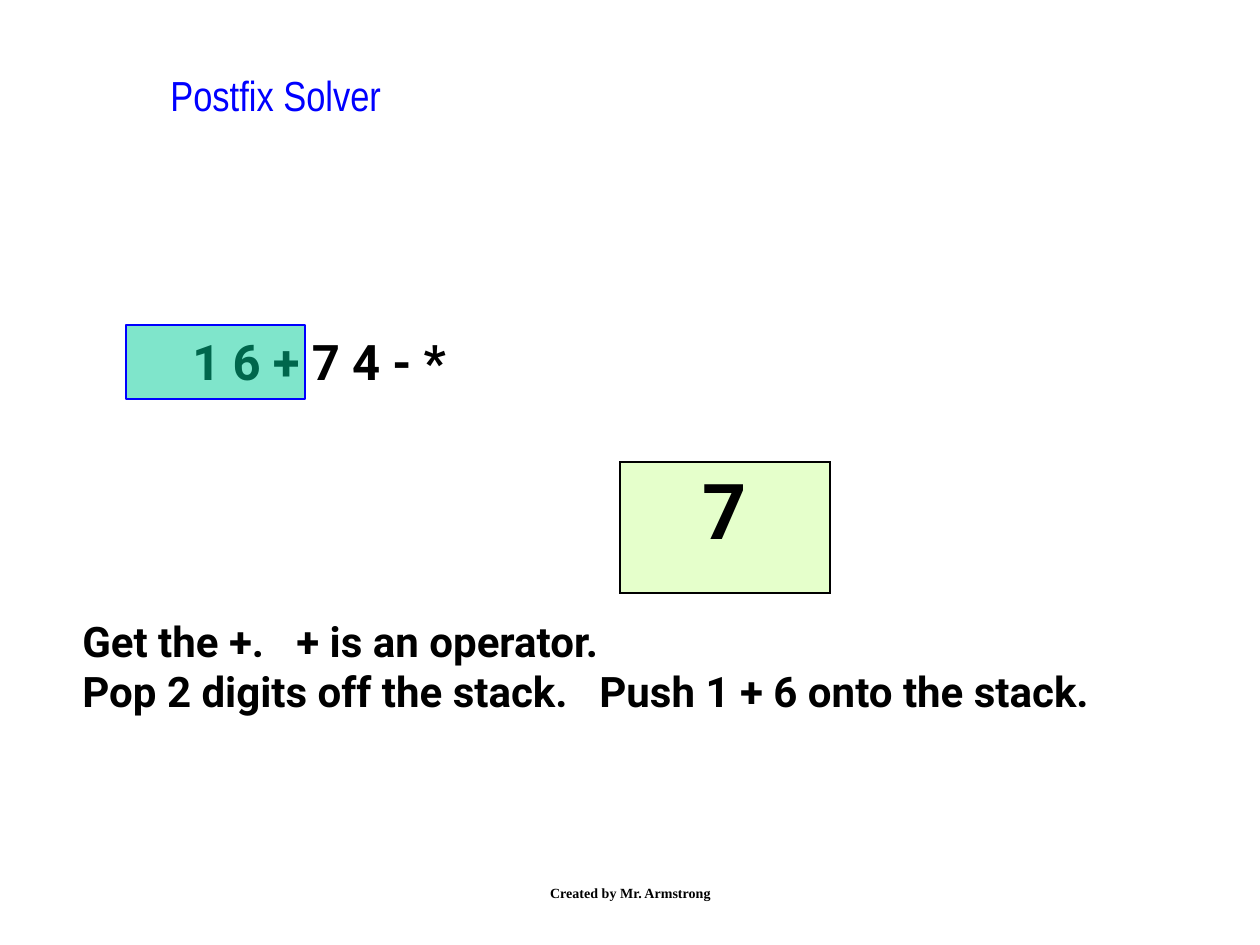
from lxml import etree
from pptx import Presentation, util as u
from pptx.dml.color import RGBColor
from pptx.enum import shapes, text
from pptx.oxml.ns import qn

PX = u.Inches(1) / 126


def emu(*lengths):
    return [round(n * PX) for n in lengths]


def paint(fill, color, alpha=None):
    """Give a fill a solid colour, with opacity in percent if wanted."""
    fill.solid()
    fill.fore_color.rgb = RGBColor.from_string(color)
    if alpha:
        clr = fill._xPr.find(qn("a:solidFill"))[0]
        etree.SubElement(clr, qn("a:alpha"), val=str(alpha * 1000))


prs = Presentation()
prs.slide_width, prs.slide_height = emu(1260, 945)
s = prs.slides.add_slide(prs.slide_layouts[6])

LEFT, CENTER = text.PP_ALIGN.LEFT, text.PP_ALIGN.CENTER
TOP, MIDDLE = text.MSO_ANCHOR.TOP, text.MSO_ANCHOR.MIDDLE

expression = dict(text="1 6 + 7 4 - *", box=(180, 325, 284, 72), wrap=False, tabs=(),
                  align=LEFT, anchor=TOP,
                  font=dict(name="Roboto", size=u.Pt(28), bold=True), color="000000")
step = dict(text="Get the +.\t+ is an operator.\v"
                 "Pop 2 digits off the stack.\tPush 1 + 6 onto the stack.",
            box=(70, 609, 1119, 113), wrap=True, tabs=(214, 517),
            align=LEFT, anchor=TOP,
            font=dict(name="Roboto", size=u.Pt(24), bold=True), color="000000")
title = dict(text="Postfix Solver", box=(158, 63, 903, 105), wrap=False, tabs=(),
             align=LEFT, anchor=TOP,
             font=dict(name="Arial Narrow", size=u.Pt(24), bold=False), color="0000FF")
footer = dict(text="Created by Mr. Armstrong", box=(431, 861, 399, 63), wrap=True, tabs=(),
              align=CENTER, anchor=MIDDLE,
              font=dict(name="Times New Roman", size=u.Pt(8), bold=True), color="000000")

for item in (expression, step, title, footer):
    tf = s.shapes.add_textbox(*emu(*item["box"])).text_frame
    tf.word_wrap = item["wrap"]
    tf.vertical_anchor = item["anchor"]
    p = tf.paragraphs[0]
    p.text = item["text"]
    p.alignment = item["align"]
    if item["tabs"]:
        tab_list = etree.SubElement(p._p.get_or_add_pPr(), qn("a:tabLst"))
        for pos in emu(*item["tabs"]):
            etree.SubElement(tab_list, qn("a:tab"), pos=str(pos), algn="l")
    for r in p.runs:
        for key, value in item["font"].items():
            setattr(r.font, key, value)
        r.font.color.rgb = RGBColor.from_string(item["color"])

    # The highlight covers the part of the expression already read
    if item is expression:
        highlight = s.shapes.add_shape(shapes.MSO_SHAPE.RECTANGLE, *emu(126, 325, 179, 74))
        highlight.shadow.inherit = False
        paint(highlight.fill, "00CC99", 50)
        paint(highlight.line.fill, "0000FF")
        highlight.line.width = u.Pt(0.75)

# The stack holds a single value
stack = s.shapes.add_table(1, 1, *emu(620, 462, 210, 131)).table
cell = stack.cell(0, 0)
cell.margin_left = cell.margin_right = u.Inches(0.1)
cell.margin_top = cell.margin_bottom = u.Inches(0.05)
tcPr = cell._tc.get_or_add_tcPr()
for side in ("lnL", "lnR", "lnT", "lnB"):
    border = etree.SubElement(tcPr, qn(f"a:{side}"), w=str(u.Pt(1.08)))
    line_fill = etree.SubElement(border, qn("a:solidFill"))
    etree.SubElement(line_fill, qn("a:srgbClr"), val="000000")
paint(cell.fill, "CCFF99", 50)
p = cell.text_frame.paragraphs[0]
p.alignment = CENTER
r = p.add_run()
r.text = "7"
for key, value in dict(name="Roboto", size=u.Pt(44), bold=True).items():
    setattr(r.font, key, value)
r.font.color.rgb = RGBColor.from_string("000000")

prs.save("out.pptx")
